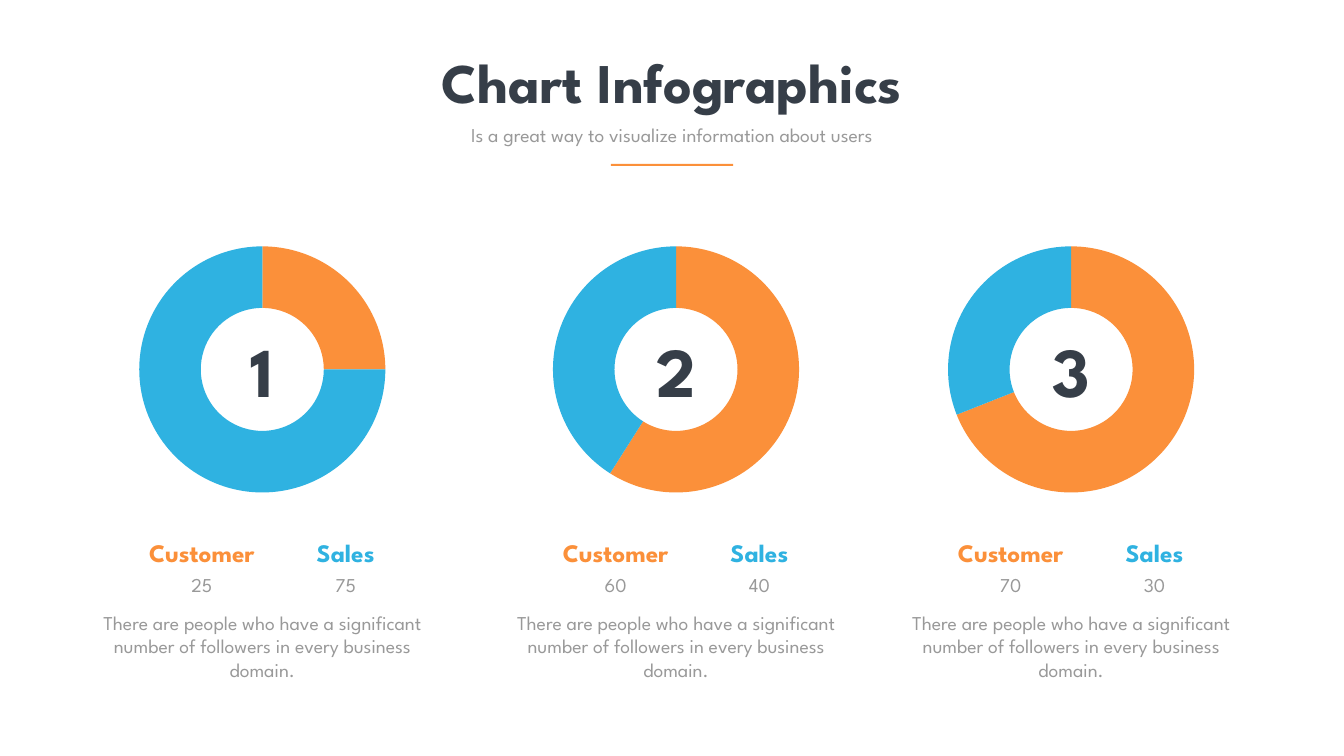
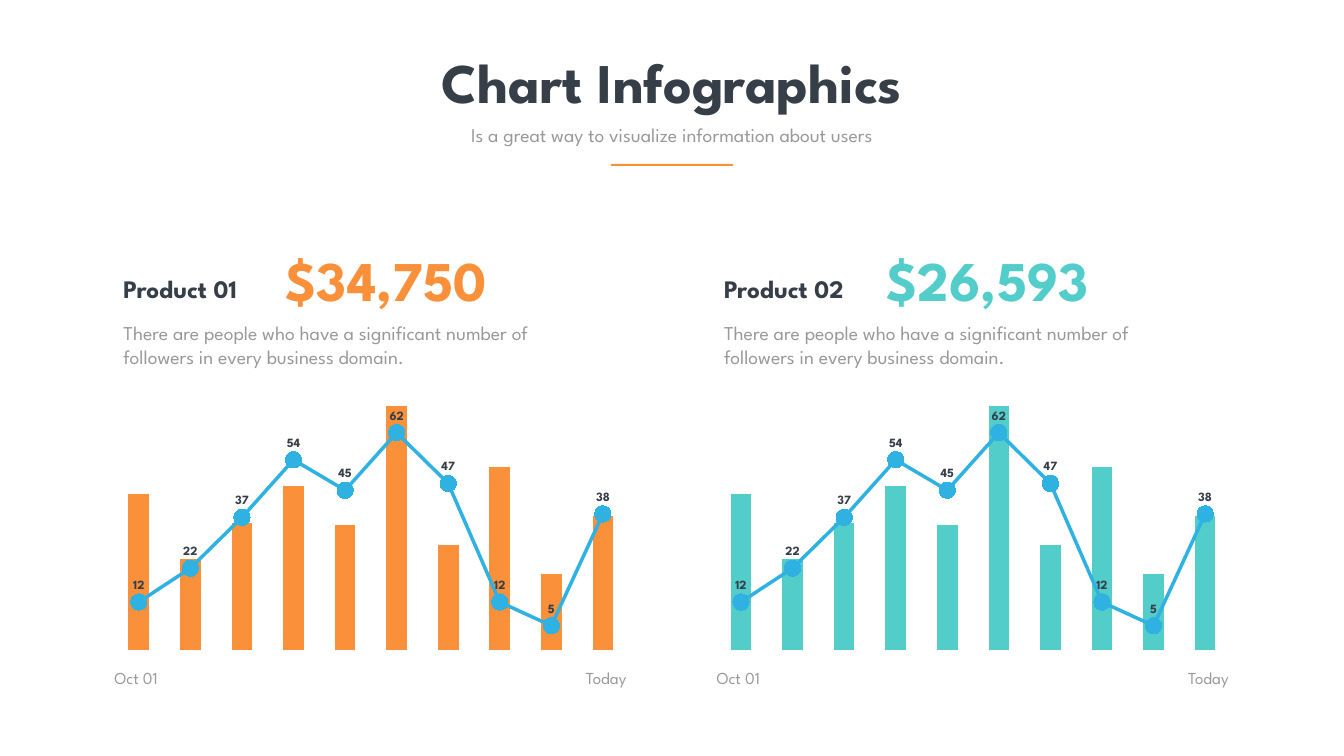
from dataclasses import dataclass

from pptx import Presentation
from pptx.chart.data import CategoryChartData
from pptx.dml.color import RGBColor
from pptx.enum.chart import XL_CHART_TYPE as ChartType
from pptx.enum.chart import XL_LABEL_POSITION as LabelPosition
from pptx.enum.chart import XL_MARKER_STYLE as MarkerStyle
from pptx.enum.shapes import MSO_SHAPE as Shape
from pptx.enum.text import MSO_ANCHOR as Anchor
from pptx.enum.text import MSO_AUTO_SIZE as AutoSize
from pptx.enum.text import PP_ALIGN as Align
from pptx.util import Inches, Pt

# Content
HEADING = "Chart Infographics"
SUBHEADING = "Is a great way to visualize information about users"
DESCRIPTION = ("There are people who have a significant number of followers "
               "in every business domain.")

# Each ring: left edge, number, drawn shares, printed shares
RINGS = [
    (2.54, "1", (25, 75), ("25", "75")),
    (10.75, "2", (59, 41), ("60", "40")),
    (18.59, "3", (69, 31), ("70", "30")),
]

# Each product: chart left, text left, name, revenue, colour
PRODUCTS = [
    (2.03, 2.35, "Product 01", "$34,750", "orange"),
    (13.98, 14.27, "Product 02", "$26,593", "teal"),
]
BAR_VALUES = (64, 37, 52, 67, 51, 100, 43, 75, 31, 55)
LINE_VALUES = (12, 22, 37, 54, 45, 62, 47, 12, 5, 38)
PERIOD = ("Oct 01", "Today")


# Theme
@dataclass(frozen=True)
class Theme:
    font: str = "League Spartan"
    ring_font: str = "Calibri"
    dark: str = "363E48"
    grey: str = "999999"
    white: str = "FFFFFF"
    orange: str = "FB903A"
    blue: str = "2FB2E1"
    teal: str = "53CDCA"
    number: int = 100
    heading: int = 80
    label: int = 36
    body: int = 28
    period: int = 24
    value: int = 18
    ring: int = 10
    share_spacing: float = 40.8


THEME = Theme()
HEADING_STYLE = {"size": THEME.heading, "color": THEME.dark, "bold": True}
BODY_STYLE = {"size": THEME.body, "color": THEME.grey}


def rgb(color):
    return RGBColor.from_string(color)


def style_font(font, size, color, bold=False, name=THEME.font):
    for attribute, value in {"name": name, "size": Pt(size), "bold": bold}.items():
        setattr(font, attribute, value)
    font.color.rgb = rgb(color)


def paint(part, color):
    part.fill.solid()
    part.fill.fore_color.rgb = rgb(color)


# Text
def write(box, text, style, align=Align.CENTER, spacing=None, middle=False):
    frame = box.text_frame
    frame_format = {
        "word_wrap": True,
        "auto_size": AutoSize.SHAPE_TO_FIT_TEXT,
        "vertical_anchor": Anchor.MIDDLE if middle else Anchor.TOP,
    }
    if middle:
        sides = ("left", "top", "right", "bottom")
        frame_format.update({f"margin_{side}": Inches(0.06) for side in sides})
    for attribute, value in frame_format.items():
        setattr(frame, attribute, value)
    paragraph = frame.paragraphs[0]
    paragraph.alignment = align
    if spacing:
        paragraph.line_spacing = Pt(spacing)
    run = paragraph.add_run()
    run.text = text
    style_font(run.font, **style)


def add_text(slide, place, text, style, **options):
    write(slide.shapes.add_textbox(*map(Inches, place)), text, style, **options)


# Slide heading
def add_headed_slide(deck):
    slide = deck.slides.add_slide(deck.slide_layouts[5])
    title = slide.shapes.title
    place = dict(zip(("left", "top", "width", "height"), (6.88, 0.9, 12.91, 1.45)))
    for attribute, value in place.items():
        setattr(title, attribute, Inches(value))
    write(title, HEADING, HEADING_STYLE)
    add_text(slide, (8.55, 2.38, 9.56, 0.57), SUBHEADING, BODY_STYLE)
    rule = slide.shapes.add_shape(
        Shape.RECTANGLE, *map(Inches, (12.12, 3.25, 2.43, 0.04)))
    rule.shadow.inherit = False
    paint(rule, THEME.orange)
    rule.line.fill.background()
    return slide


# Charts
def add_chart(slide, kind, place, values, size, font):
    data = CategoryChartData()
    data.categories = [str(i) for i in range(1, len(values) + 1)]
    data.add_series("Series 1", values)
    chart = slide.shapes.add_chart(kind, *map(Inches, place), data).chart
    chart.has_legend = chart.has_title = False
    style_font(chart.font, size, THEME.grey, name=font)
    return chart, chart.plots[0], chart.plots[0].series[0]


def hide_axes(chart, maximum):
    for axis in (chart.category_axis, chart.value_axis):
        axis.has_major_gridlines = False
        axis.visible = False
    chart.value_axis.minimum_scale = 0
    chart.value_axis.maximum_scale = maximum


def add_ring(slide, left, shares):
    _, plot, series = add_chart(slide, ChartType.DOUGHNUT, (left, 4.75, 5.33, 5.16),
                                shares, THEME.ring, THEME.ring_font)
    plot.has_data_labels = False
    hole = plot._element.find("{*}holeSize")
    hole.set("val", "65")
    for i, color in enumerate((THEME.orange, THEME.blue)):
        point = series.points[i].format
        paint(point, color)
        point.line.fill.background()


def add_bars(slide, left, color):
    chart, plot, series = add_chart(slide, ChartType.COLUMN_STACKED,
                                    (left, 6.97, 10.66, 6.04), BAR_VALUES, 20, THEME.font)
    hide_axes(chart, 120)
    for attribute, value in {"gap_width": 150, "overlap": 100,
                             "vary_by_categories": False}.items():
        setattr(plot, attribute, value)
    paint(series.format, color)


def add_trend(slide, left):
    chart, plot, series = add_chart(slide, ChartType.LINE_MARKERS,
                                    (left, 7.95, 10.66, 4.9), LINE_VALUES,
                                    THEME.value, THEME.font)
    hide_axes(chart, 70)
    plot.vary_by_categories = False
    series.smooth = False
    marker = series.marker
    marker.style, marker.size = MarkerStyle.CIRCLE, 23
    paint(marker.format, THEME.white)
    for line in (series.format.line, marker.format.line):
        line.color.rgb = rgb(THEME.blue)
        line.width = Pt(5)
    plot.has_data_labels = True
    labels = plot.data_labels
    labels.show_value = True
    labels.position = LabelPosition.ABOVE
    style_font(labels.font, THEME.value, THEME.dark, bold=True)


# Slides
def build_rings(deck):
    slide = add_headed_slide(deck)
    for left, number, drawn, printed in RINGS:
        add_ring(slide, left, drawn)
        # Label, colour, label offset and width, share offset and width
        legend = [("Customer", THEME.orange, 0, 2.93, 0.37, 2.19),
                  ("Sales", THEME.blue, 3.3, 2.04, 3.3, 2.04)]
        for share, (label, color, dx, width, share_dx, share_width) in zip(printed, legend):
            add_text(slide, (left + share_dx, 11.21, share_width, 0.62), share,
                     BODY_STYLE, spacing=THEME.share_spacing)
            add_text(slide, (left + dx, 10.65, width, 0.68), label,
                     {"size": THEME.label, "color": color, "bold": True},
                     spacing=THEME.share_spacing)
        add_text(slide, (left + 1.41, 6.43, 2.51, 1.8), number,
                 {**HEADING_STYLE, "size": THEME.number}, middle=True)
        add_text(slide, (left - 0.74, 12.07, 6.81, 1.51), DESCRIPTION, BODY_STYLE)


def build_products(deck):
    slide = add_headed_slide(deck)
    for chart_left, text_left, name, revenue, color_name in PRODUCTS:
        color = getattr(THEME, color_name)
        add_bars(slide, chart_left, color)
        add_trend(slide, chart_left)
        for text, dx in zip(PERIOD, (-0.21, 9.12)):
            add_text(slide, (chart_left + dx, 13.19, 1.76, 0.42), text,
                     {"size": THEME.period, "color": THEME.grey})
        add_text(slide, (text_left, 5.37, 3.15, 0.71), name,
                 {**HEADING_STYLE, "size": THEME.label}, align=Align.LEFT)
        add_text(slide, (text_left + 3.26, 4.81, 6.22, 1.46), revenue,
                 {**HEADING_STYLE, "color": color}, align=Align.LEFT, middle=True)
        add_text(slide, (text_left, 6.32, 9.48, 1.04), DESCRIPTION, BODY_STYLE,
                 align=Align.LEFT)


def main():
    deck = Presentation()
    deck.slide_width, deck.slide_height = Inches(26.67), Inches(15)
    build_rings(deck)
    build_products(deck)
    deck.save("out.pptx")


if __name__ == "__main__":
    main()
